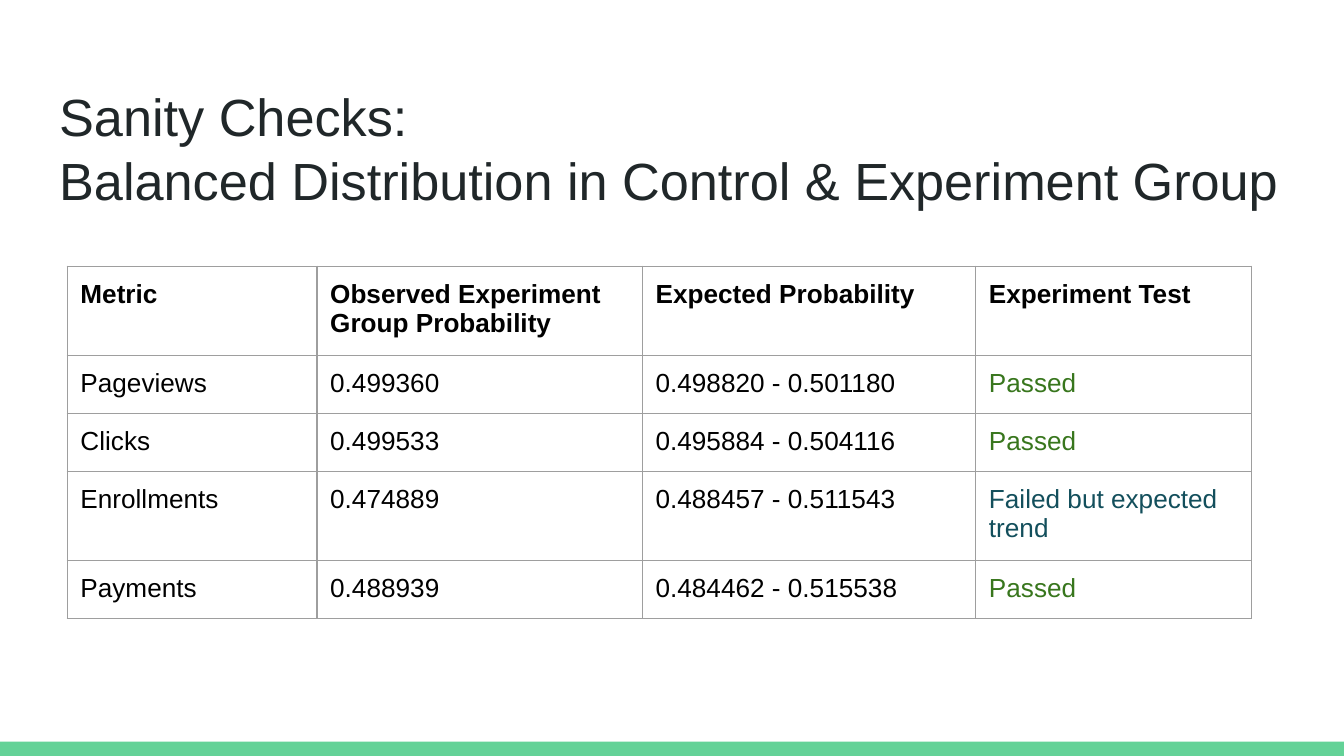
from pptx import Presentation
from pptx.dml.color import RGBColor
from pptx.enum.shapes import MSO_SHAPE
from pptx.enum.text import MSO_ANCHOR
from pptx.oxml import parse_xml
from pptx.oxml.ns import nsdecls
from pptx.util import Cm, Pt

# Content
TITLE = ["Sanity Checks:", "Balanced Distribution in Control & Experiment Group"]
ROWS = [
    ("Metric", "Observed Experiment Group Probability",
     "Expected Probability", "Experiment Test"),
    ("Pageviews", "0.499360", "0.498820 - 0.501180", "Passed"),
    ("Clicks", "0.499533", "0.495884 - 0.504116", "Passed"),
    ("Enrollments", "0.474889", "0.488457 - 0.511543", "Failed but expected trend"),
    ("Payments", "0.488939", "0.484462 - 0.515538", "Passed"),
]
WIDTHS = [4.72, 6.15, 6.3, 5.21]
HEIGHTS = [1.61, 1.07, 1.07, 1.61, 1.07]

THEME = dict(font="Arial", title="202729", text="000000", passed="38761D",
             failed="134F5C", bar="63D297", border="9E9E9E",
             title_size=28, cell_size=14)
WIDE, HIGH, PAD = 25.4, 14.29, 0.25


def style(para, size, color, bold=False):
    font = para.font
    font.name, font.size, font.bold = THEME["font"], Pt(THEME[size]), bold
    font.color.rgb = RGBColor.from_string(THEME[color])


def pad(box):
    box.margin_left = box.margin_right = Cm(PAD)
    box.margin_top = box.margin_bottom = Cm(PAD)


def edge(cell):
    props = cell._tc.get_or_add_tcPr()
    for i, side in enumerate("LRTB"):
        props.insert(i, parse_xml(
            f'<a:ln{side} {nsdecls("a")} w="{Pt(0.75)}"><a:solidFill>'
            f'<a:srgbClr val="{THEME["border"]}"/></a:solidFill></a:ln{side}>'))


def tone(row, col):
    if row == 0 or col < 3:
        return "text"
    return "passed" if ROWS[row][col] == "Passed" else "failed"


deck = Presentation()
deck.slide_width, deck.slide_height = Cm(WIDE), Cm(HIGH)
slide = deck.slides.add_slide(deck.slide_layouts[6])

# Bottom bar
thick = 0.27
bar = slide.shapes.add_shape(MSO_SHAPE.RECTANGLE, 0, Cm(HIGH - thick), Cm(WIDE), Cm(thick))
bar.shadow.inherit = False
bar.fill.solid()
bar.fill.fore_color.rgb = RGBColor.from_string(THEME["bar"])
bar.line.fill.background()

# Title
frame = slide.shapes.add_textbox(Cm(0.87), Cm(1.25), Cm(23.66), Cm(2.75)).text_frame
frame.word_wrap = True
frame.vertical_anchor = MSO_ANCHOR.TOP
pad(frame)
frame.margin_top = Cm(0.3)
frame.text = "\n".join(TITLE)
for para in frame.paragraphs:
    style(para, "title_size", "title")
    para.line_spacing = 1.03

# Table of checks
table = slide.shapes.add_table(len(ROWS), len(WIDTHS), Cm(1.27), Cm(5.03),
                               Cm(sum(WIDTHS)), Cm(sum(HEIGHTS))).table
table.first_row = table.horz_banding = False
for col, width in zip(table.columns, WIDTHS):
    col.width = Cm(width)
for r, (line, height) in enumerate(zip(ROWS, HEIGHTS)):
    table.rows[r].height = Cm(height)
    for c, text in enumerate(line):
        cell = table.cell(r, c)
        cell.text = text
        pad(cell)
        cell.fill.background()
        edge(cell)
        style(cell.text_frame.paragraphs[0], "cell_size", tone(r, c), r == 0)

deck.save("out.pptx")
